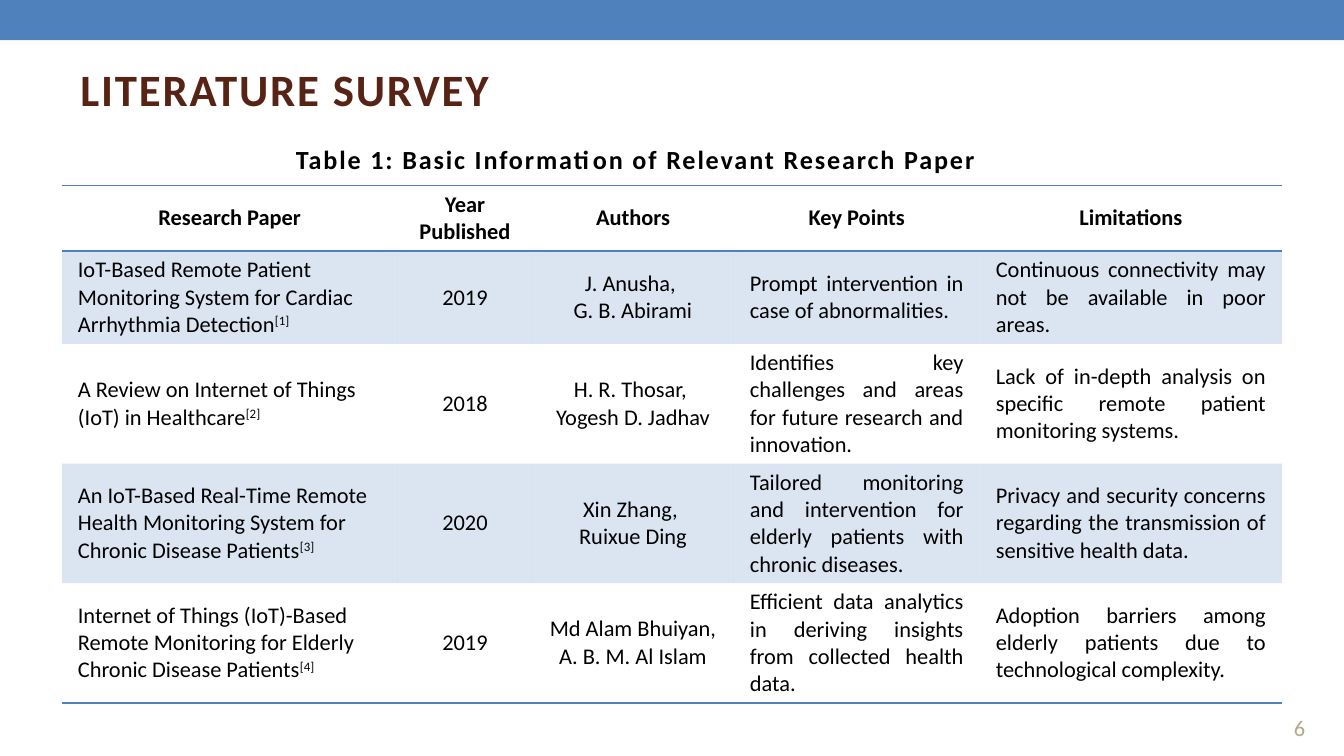
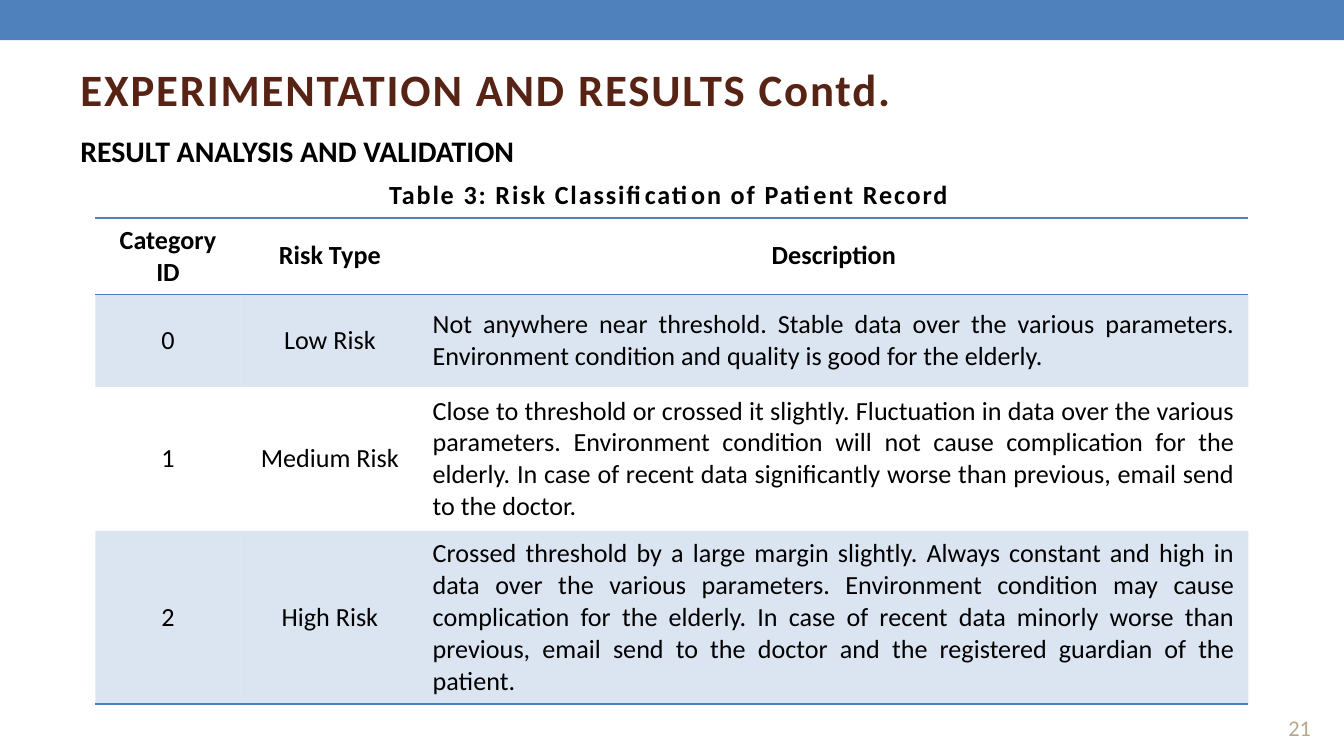
from lxml import etree
from pptx import Presentation
from pptx import util as u
from pptx.dml.color import RGBColor
from pptx.enum import shapes, text
from pptx.oxml.ns import qn

COLORS = {"blue": "4F81BD", "title": "572314", "number": "B5A989", "ink": "000000"}
FONT = "Calibri"
NO_GRID_STYLE = "{2D5ABB26-0587-4C30-8999-92F81FD0307C}"
LEFT, CENTER, JUSTIFY = text.PP_ALIGN.LEFT, text.PP_ALIGN.CENTER, text.PP_ALIGN.JUSTIFY

PAPERS = [
    ["Research Paper", "Year Published", "Authors", "Key Points", "Limitations"],
    ["IoT-Based Remote Patient Monitoring System for Cardiac Arrhythmia Detection[1]", "2019",
     "J. Anusha, \nG. B. Abirami", "Prompt intervention in case of abnormalities.",
     "Continuous connectivity may not be available in poor areas."],
    ["A Review on Internet of Things (IoT) in Healthcare[2]", "2018",
     "H. R. Thosar, \nYogesh D. Jadhav",
     "Identifies key challenges and areas for future research and innovation.",
     "Lack of in-depth analysis on specific remote patient monitoring systems."],
    ["An IoT-Based Real-Time Remote Health Monitoring System for Chronic Disease Patients[3]", "2020",
     "Xin Zhang, \nRuixue Ding",
     "Tailored monitoring and intervention for elderly patients with chronic diseases.",
     "Privacy and security concerns regarding the transmission of sensitive health data."],
    ["Internet of Things (IoT)-Based Remote Monitoring for Elderly Chronic Disease Patients[4]", "2019",
     "Md Alam Bhuiyan, A. B. M. Al Islam",
     "Efficient data analytics in deriving insights from collected health data.",
     "Adoption barriers among elderly patients due to technological complexity."],
]

RISKS = [
    ["Category ID", "Risk Type", "Description"],
    ["0", "Low Risk",
     "Not anywhere near threshold. Stable data over the various parameters. "
     "Environment condition and quality is good for the elderly."],
    ["1", "Medium Risk",
     "Close to threshold or crossed it slightly. Fluctuation in data over the various parameters. "
     "Environment condition will not cause complication for the elderly. In case of recent data "
     "significantly worse than previous, email send to the doctor."],
    ["2", "High Risk",
     "Crossed threshold by a large margin slightly. Always constant and high in data over the various "
     "parameters. Environment condition may cause complication for the elderly. In case of recent data "
     "minorly worse than previous, email send to the doctor and the registered guardian of the patient."],
]


def color(name):
    return RGBColor.from_string(COLORS[name])


def add_span(para, words, size, tint="ink", bold=False, spacing=0, raised=False):
    span = para.add_run()
    span.text = words
    span.font.name = FONT
    span.font.size = u.Pt(size)
    span.font.bold = bold
    span.font.color.rgb = color(tint)
    properties = span.font._element
    if spacing:
        properties.set("spc", str(spacing * 100))
    if raised:
        properties.set("baseline", "30000")


def add_text(page, area, words, size, align=LEFT, anchor=text.MSO_ANCHOR.TOP, **style):
    box = page.shapes.add_textbox(*map(u.Inches, area))
    frame = box.text_frame
    frame.word_wrap = True
    frame.vertical_anchor = anchor
    para = frame.paragraphs[0]
    para.alignment = align
    add_span(para, words, size, **style)


def add_page(deck, title, number):
    page = deck.slides.add_slide(deck.slide_layouts[6])
    band = page.shapes.add_shape(shapes.MSO_SHAPE.RECTANGLE, 0, 0, deck.slide_width, u.Inches(0.3))
    band.shadow.inherit = False
    band.fill.solid()
    band.fill.fore_color.rgb = color("blue")
    band.line.fill.background()
    add_text(page, (9.42, 5.17, 0.5, 0.39), str(number), 12, CENTER,
             text.MSO_ANCHOR.BOTTOM, tint="number")
    add_text(page, (0.5, 0.41, 8.45, 0.6), title, 24, tint="title", bold=True, spacing=1)
    return page


def add_caption(page, area, words):
    add_text(page, area, words, 14, CENTER, bold=True, spacing=1)


def add_rule(cell, edge):
    line = etree.SubElement(cell._tc.get_or_add_tcPr(), qn(f"a:{edge}"), w=str(u.Pt(1)))
    fill = etree.SubElement(line, qn("a:solidFill"))
    etree.SubElement(fill, qn("a:srgbClr"), val=COLORS["blue"])


def shade(cell):
    cell.fill.solid()
    cell.fill.fore_color.rgb = color("blue")
    tint = cell._tc.tcPr.find(qn("a:solidFill")).find(qn("a:srgbClr"))
    etree.SubElement(tint, qn("a:alpha"), val="20000")


def fill_cell(cell, words, size, align, margins, bold):
    cell.vertical_anchor = text.MSO_ANCHOR.MIDDLE
    cell.margin_left = cell.margin_right = u.Inches(margins[0])
    cell.margin_top = cell.margin_bottom = u.Inches(margins[1])
    frame = cell.text_frame
    for index, sentence in enumerate(words.split("\n")):
        para = frame.add_paragraph() if index else frame.paragraphs[0]
        para.alignment = align
        body, bracket, citation = sentence.partition("[")
        add_span(para, body, size, bold=bold)
        if bracket:
            add_span(para, bracket + citation, size, raised=True)


def add_ruled_table(page, corner, widths, heights, rows, aligns, size, margins):
    area = (*corner, sum(widths), sum(heights))
    table = page.shapes.add_table(len(rows), len(widths), *map(u.Inches, area)).table
    table._tbl.tblPr.find(qn("a:tableStyleId")).text = NO_GRID_STYLE
    for column, width in zip(table.columns, widths):
        column.width = u.Inches(width)
    for row, height in zip(table.rows, heights):
        row.height = u.Inches(height)
    for r, row in enumerate(rows):
        header = r == 0
        for c, words in enumerate(row):
            cell = table.cell(r, c)
            fill_cell(cell, words, size, CENTER if header else aligns[c], margins, header)
            if header:
                add_rule(cell, "lnT")
            if header or r == len(rows) - 1:
                add_rule(cell, "lnB")
            if r % 2:
                shade(cell)
            else:
                cell.fill.background()


def add_survey(deck):
    page = add_page(deck, "LITERATURE SURVEY", 6)
    add_ruled_table(page, (0.46, 1.38), [2.5, 1, 1.5, 1.83, 2.25], [0.49, 0.69] + [0.89] * 3,
                    PAPERS, [LEFT, CENTER, CENTER, JUSTIFY, JUSTIFY], 12, (0.12, 0.04))
    add_caption(page, (1.75, 1.02, 5.96, 0.37),
                "Table 1: Basic Information of Relevant Research Paper")


def add_results(deck):
    page = add_page(deck, "EXPERIMENTATION AND RESULTS Contd.", 21)
    add_ruled_table(page, (0.71, 1.62), [1.08, 1.33, 6.17], [0.57, 0.69, 1.07, 1.29],
                    RISKS, [CENTER, CENTER, JUSTIFY], 14, (0.1, 0.05))
    add_caption(page, (2.42, 1.28, 5.17, 0.32), "Table 3: Risk Classification of Patient Record ")
    add_text(page, (0.5, 0.94, 8.99, 0.37), "RESULT ANALYSIS AND VALIDATION", 16, bold=True)


def main():
    deck = Presentation()
    deck.slide_width = u.Inches(10)
    deck.slide_height = deck.slide_width * 9 // 16
    add_survey(deck)
    add_results(deck)
    deck.save("out.pptx")


if __name__ == "__main__":
    main()
